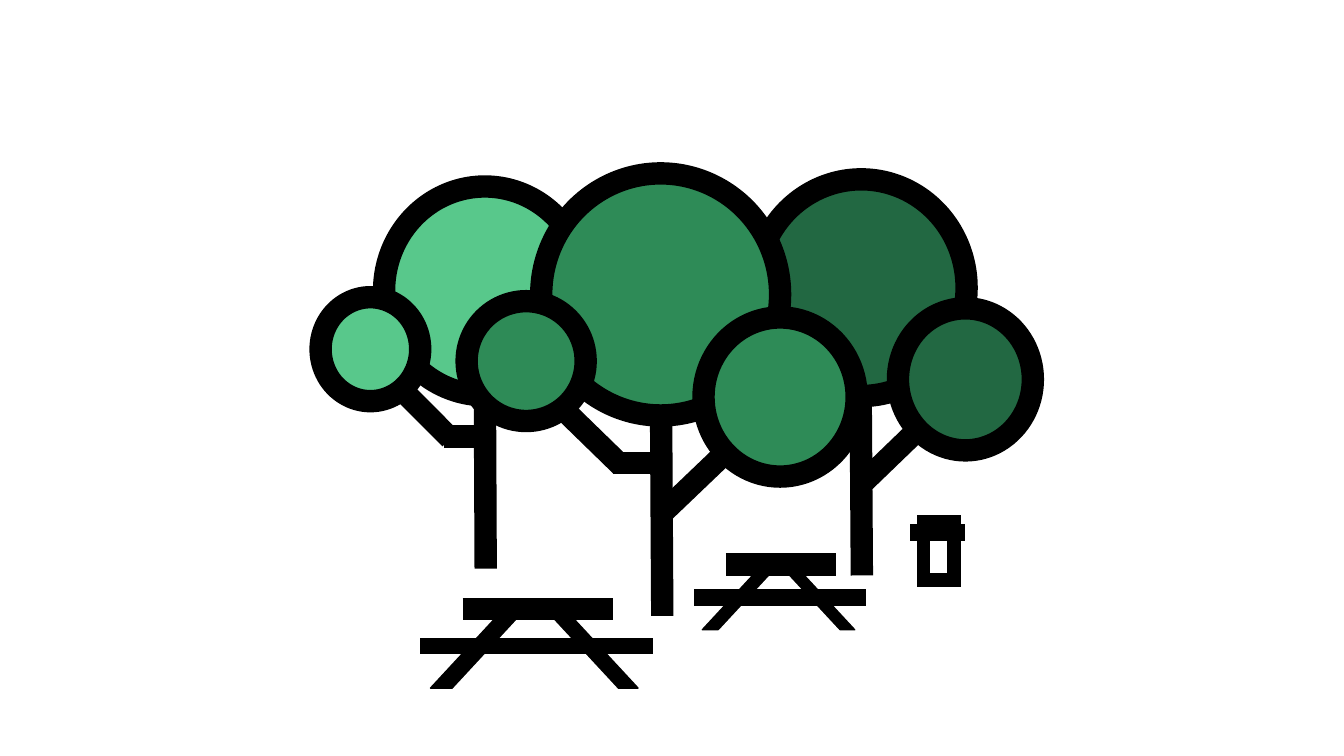
from lxml.etree import SubElement
from pptx import Presentation
from pptx.dml.color import RGBColor
from pptx.enum.shapes import MSO_CONNECTOR, MSO_SHAPE
from pptx.oxml.ns import qn
from pptx.util import Cm, Pt

BLACK, WHITE = "000000", "FFFFFF"
DARK, MEDIUM, LIGHT = "226842", "2E8B57", "58C88B"
THICK, MIDDLE, THIN = 16, 12, 1


def rgb(colour):
    """Turn a hex string into a colour."""
    return RGBColor.from_string(colour)


def add_outlined(group, preset, box, fill, outline, width):
    """Add a filled preset shape with an outline."""
    shape = group.shapes.add_shape(preset, *map(Cm, box))
    shape.shadow.inherit = False
    shape.fill.solid()
    shape.fill.fore_color.rgb = rgb(fill)
    shape.line.color.rgb = rgb(outline)
    shape.line.width = Pt(width)
    return shape


def add_bar(group, ends, width=THICK, colour=BLACK):
    """Add a straight bar between two points."""
    bar = group.shapes.add_connector(MSO_CONNECTOR.STRAIGHT, *map(Cm, ends))
    bar.line.color.rgb = rgb(colour)
    bar.line.width = Pt(width)
    SubElement(bar._element.spPr, qn("a:effectLst"))


def add_foliage(group, box, colour):
    """Add a round mass of leaves."""
    add_outlined(group, MSO_SHAPE.OVAL, box, colour, BLACK, THICK)


def add_tree(slide, back_foliage, wood, front_foliage):
    """Add a tree with its wood between two layers of foliage."""
    tree = slide.shapes.add_group_shape()
    for box, colour in back_foliage:
        add_foliage(tree, box, colour)
    for ends in wood:
        add_bar(tree, ends)
    add_foliage(tree, *front_foliage)


def add_picnic_table(slide, legs, gap, bench, top):
    """Add a picnic table whose legs are a hollowed trapezoid."""
    table = slide.shapes.add_group_shape()
    for box, colour in ((legs, BLACK), (gap, WHITE)):
        frame = add_outlined(table, MSO_SHAPE.TRAPEZOID, box, colour, colour, THIN)
        frame.adjustments[0] = 0.927
    for (left, right, height), width in ((bench, MIDDLE), (top, THICK)):
        add_bar(table, (left, height, right, height), width)


def add_litter_bin(slide):
    """Add the litter bin."""
    litter_bin = slide.shapes.add_group_shape()
    for side in (23.39, 23.93):
        add_bar(litter_bin, (side, 12.98, side, 14.78))
    add_bar(litter_bin, (23.65, 13.41, 23.65, 14.45), MIDDLE, WHITE)
    add_bar(litter_bin, (22.94, 13.41, 24.33, 13.41), MIDDLE)


def main():
    """Build the park slide."""
    presentation = Presentation()
    presentation.slide_width, presentation.slide_height = Cm(33.87), Cm(19.05)
    park = presentation.slides.add_slide(presentation.slide_layouts[6])

    add_tree(
        park,
        [((19.05, 4.52, 5.31, 5.46), DARK), ((22.63, 7.77, 3.4, 3.58), DARK)],
        [(21.72, 14.5, 21.69, 9.98), (21.72, 12.19, 23.14, 10.82),
         (20.62, 11.05, 21.72, 11.05), (20.8, 11.13, 18.82, 9.12)],
        ((17.37, 7.42, 2.64, 2.72), MEDIUM),
    )
    add_tree(
        park,
        [((9.68, 4.7, 5.08, 5.26), LIGHT)],
        [(12.24, 14.33, 12.22, 9.98), (11.18, 11, 12.22, 11),
         (11.35, 11.05, 9.45, 9.14)],
        ((8.08, 7.49, 2.51, 2.62), LIGHT),
    )
    add_tree(
        park,
        [((13.64, 4.37, 6.02, 6.1), MEDIUM), ((17.73, 8, 3.86, 4.01), MEDIUM)],
        [(16.69, 15.52, 16.66, 10.46), (16.69, 12.93, 18.29, 11.4),
         (15.44, 11.66, 16.69, 11.66), (15.65, 11.73, 13.39, 9.53)],
        ((11.76, 7.59, 3, 3.02), MEDIUM),
    )
    add_picnic_table(
        park, (10.85, 15.54, 5.23, 1.8), (11.28, 15.49, 4.42, 2.03),
        (10.59, 16.46, 16.28), (11.66, 15.44, 15.34),
    )
    add_picnic_table(
        park, (17.7, 14.5, 3.84, 1.37), (18.01, 14.45, 3.25, 1.57),
        (17.5, 21.82, 15.06), (18.29, 21.06, 14.22),
    )
    add_litter_bin(park)
    presentation.save("out.pptx")


if __name__ == "__main__":
    main()
